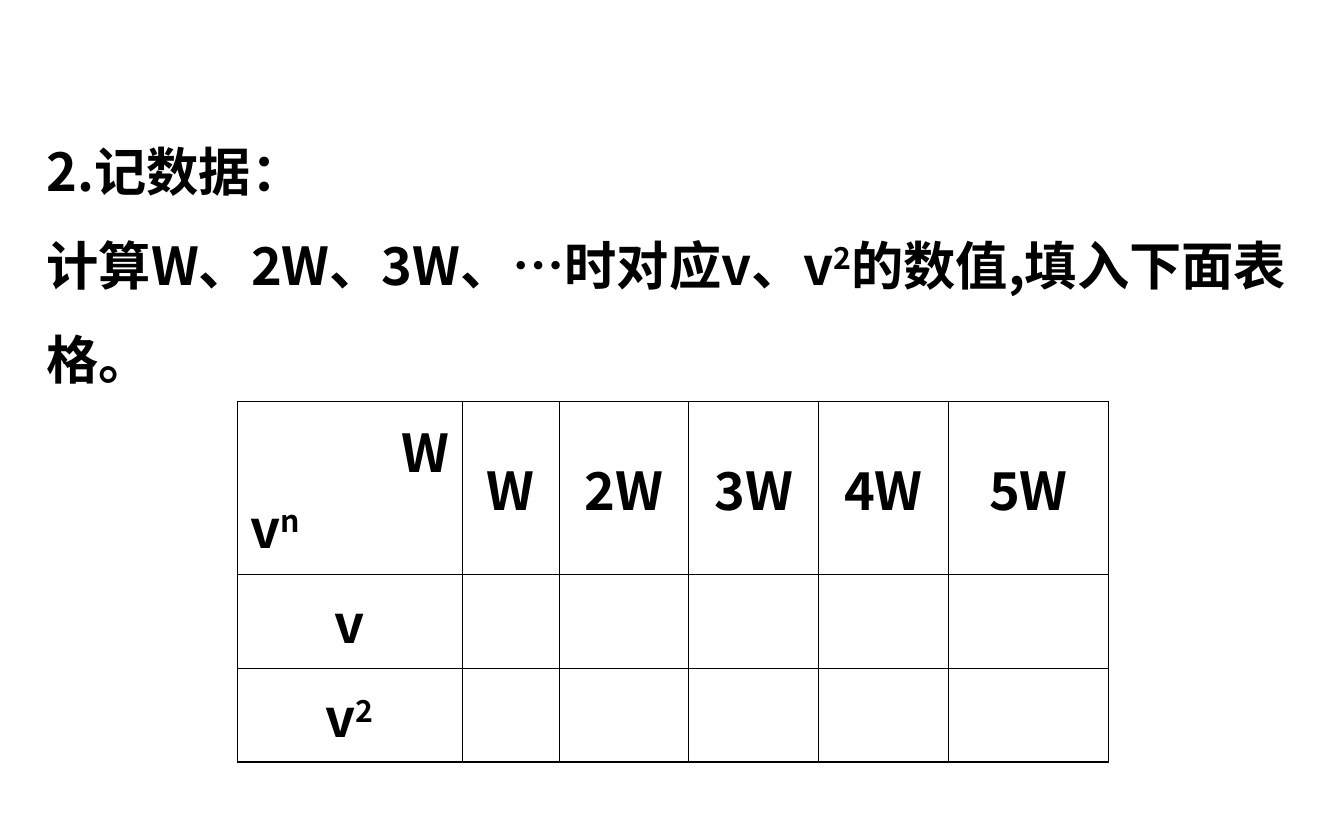
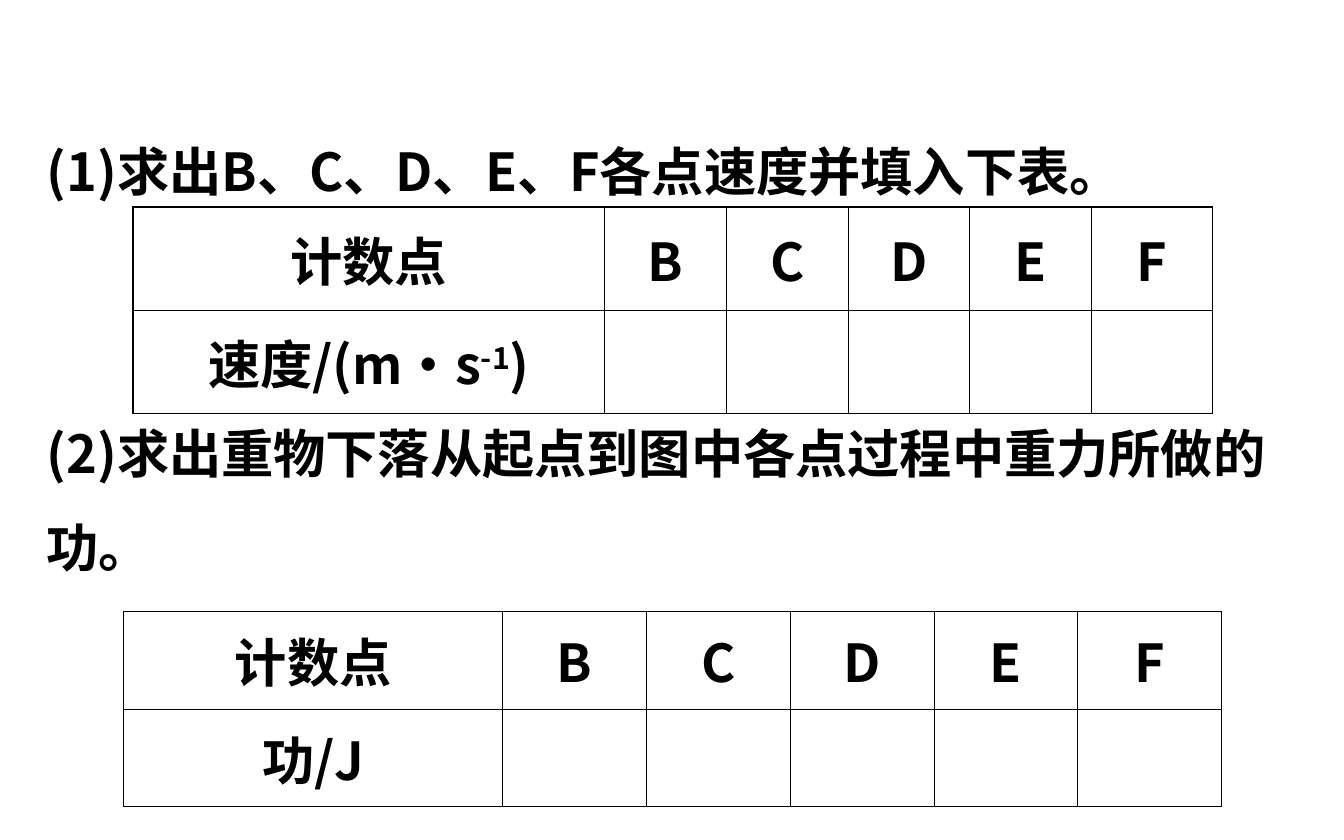
"""Build two slides of physics data tables."""
import pptx
import pptx.dml.color
import pptx.enum.text
import pptx.oxml.ns
import pptx.util
from lxml import etree

PX = 4572
BLACK = pptx.dml.color.RGBColor(0, 0, 0)
FONT = "Noto Sans CJK SC"
SIZE = 28
THIN, THICK = 0.45, 0.75
ALIGN = pptx.enum.text.PP_ALIGN
POINTS = ["计数点", "B", "C", "D", "E", "F"]


def px(n):
    return pptx.util.Emu(n * PX)


def sub(parent, tag, **attrs):
    return etree.SubElement(parent, pptx.oxml.ns.qn(tag), **attrs)


class Deck:
    def __init__(self, width, height):
        self.prs = pptx.Presentation()
        self.prs.slide_width = px(width)
        self.prs.slide_height = px(height)
        self.s = None

    def slide(self):
        self.s = self.prs.slides.add_slide(self.prs.slide_layouts[6])

    def runs(self, p, text):
        for i, part in enumerate(text.split("^")):
            if not part:
                continue
            r = p.add_run()
            r.text = part
            r.font.size = pptx.util.Pt(SIZE)
            r.font.bold = True
            r.font.color.rgb = BLACK
            r.font.name = FONT
            rPr = r.font._element
            sub(rPr, "a:ea", typeface=FONT)
            if i % 2:
                rPr.set("baseline", "30000")

    def text(self, x, y, w, h, paragraphs, gap=0):
        tf = self.s.shapes.add_textbox(px(x), px(y), px(w), px(h)).text_frame
        tf.word_wrap = True
        tf.auto_size = pptx.enum.text.MSO_AUTO_SIZE.SHAPE_TO_FIT_TEXT
        for i, text in enumerate(paragraphs):
            p = tf.add_paragraph() if i else tf.paragraphs[0]
            p.line_spacing = 1.5
            p.space_before = pptx.util.Pt(gap if i else 0)
            self.runs(p, text)

    def borders(self, cell, outer):
        tcPr = cell._tc.get_or_add_tcPr()
        for side in "LRTB":
            width = THICK if side in outer else THIN
            ln = sub(tcPr, f"a:ln{side}", w=str(pptx.util.Pt(width)))
            sub(sub(ln, "a:solidFill"), "a:srgbClr", val=str(BLACK))

    def cell(self, cell, lines, aligns):
        cell.vertical_anchor = pptx.enum.text.MSO_ANCHOR.MIDDLE
        tf = cell.text_frame
        for i, (text, align) in enumerate(zip(lines, aligns)):
            p = tf.add_paragraph() if i else tf.paragraphs[0]
            p.alignment = align
            self.runs(p, text)

    def table(self, x, y, cols, rows, header, labels):
        shape = self.s.shapes.add_table(
            len(rows), len(cols), px(x), px(y), px(sum(cols)), px(sum(rows)))
        tbl = shape.table
        tbl.first_row = tbl.horz_banding = False
        for column, w in zip(tbl.columns, cols):
            column.width = px(w)
        for row, h in zip(tbl.rows, rows):
            row.height = px(h)
        last_row, last_col = len(rows) - 1, len(cols) - 1
        for i in range(len(rows)):
            for j in range(len(cols)):
                cell = tbl.cell(i, j)
                edges = {"T": i == 0, "B": i == last_row,
                         "L": j == 0, "R": j == last_col}
                self.borders(cell, [side for side in edges if edges[side]])
                cell.fill.background()
                text = header[j] if i == 0 else labels[i - 1] if j == 0 else ""
                lines = text.split("\n")
                split = len(lines) > 1
                aligns = [ALIGN.RIGHT, ALIGN.LEFT] if split else [ALIGN.CENTER]
                self.cell(cell, lines, aligns)


def main():
    deck = Deck(2000, 1250)

    deck.slide()
    deck.text(50, 150, 1886, 440, [
        "2.记数据：",
        "计算W、2W、3W、…时对应v、v^2^的数值,填入下面表格。"])
    deck.table(353, 598, [335, 144] + [193] * 3 + [239], [256, 140, 140],
               ["W\nv^n^", "W", "2W", "3W", "4W", "5W"], ["v", "v^2^"])

    deck.slide()
    deck.text(50, 150, 1886, 720, [
        "(1)求出B、C、D、E、F各点速度并填入下表。",
        "(2)求出重物下落从起点到图中各点过程中重力所做的功。"], gap=101)
    deck.table(198, 308, [702] + [181] * 5, [154] * 2,
               POINTS, ["速度/(m·s^-1^)"])
    deck.table(184, 910, [564] + [214] * 5, [145] * 2, POINTS, ["功/J"])

    deck.prs.save("out.pptx")


if __name__ == "__main__":
    main()
